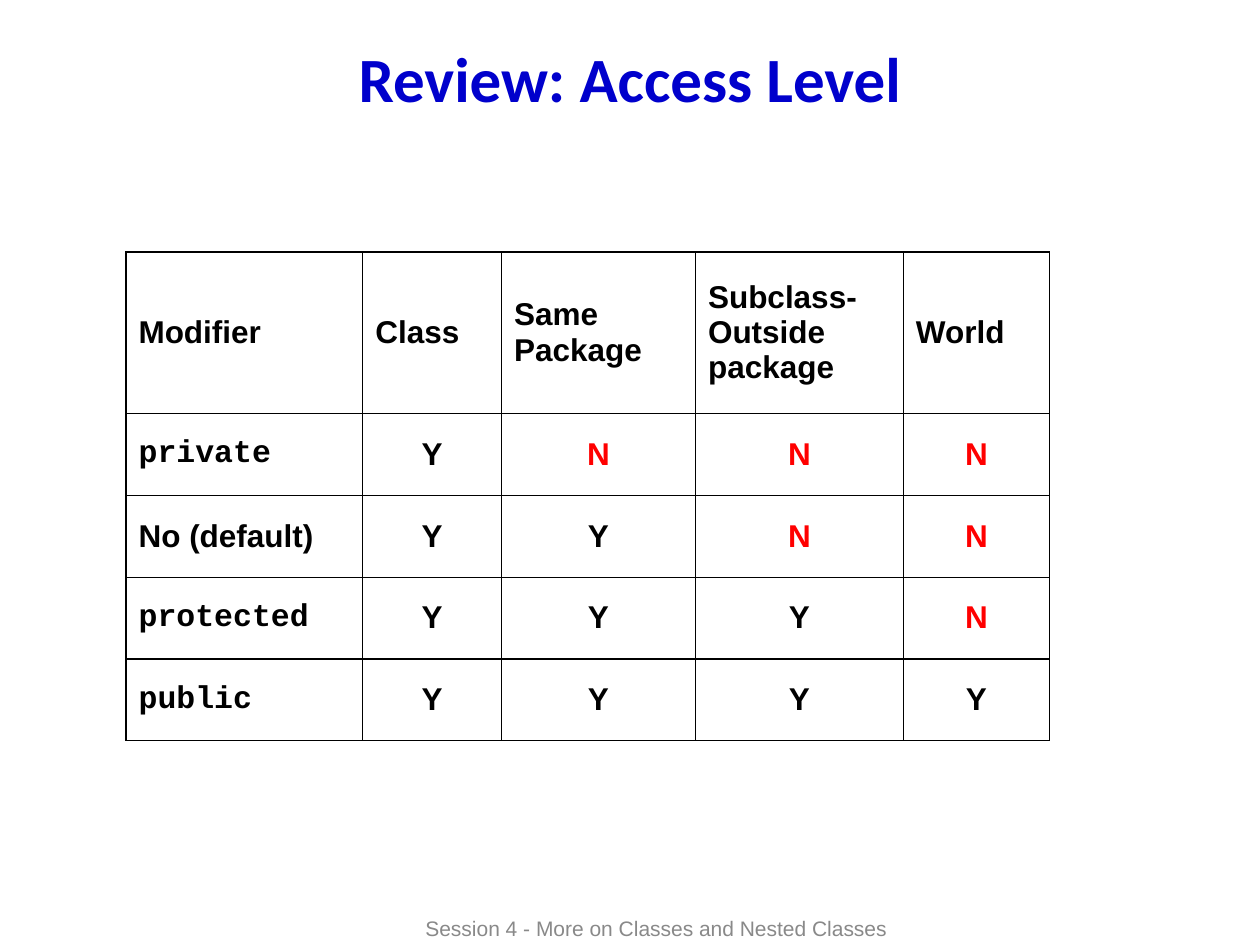
from lxml.etree import SubElement
from pptx import Presentation
from pptx.dml.color import RGBColor
from pptx.enum.text import MSO_ANCHOR, PP_ALIGN
from pptx.oxml.ns import qn
from pptx.util import Inches, Pt

HUES = {"title": "0000CC", "foot": "898989", "ink": "000000",
        "no": "FF0000", "paper": "FFFFFF"}
WIDE, HIGH = 10, 7.5
COLS = [1.88, 1.1, 1.54, 1.65, 1.16]
ROWS = [1.28] + [0.65] * 4
HEADS = ["Modifier", "Class", "Same Package", "Subclass- Outside package", "World"]
LEVELS = [("private", "Courier New", "YNNN"),
          ("No (default)", "Arial", "YYNN"),
          ("protected", "Courier New", "YYYN"),
          ("public", "Courier New", "YYYY")]


def add_run(para, text, size, face, hue, bold=True):
    """Add one styled run to a paragraph."""
    run = para.add_run()
    run.text = text
    font = run.font
    font.size, font.name, font.bold = Pt(size), face, bold
    font.color.rgb = RGBColor.from_string(HUES[hue])


def add_label(slide, box, text, size, face, hue, bold):
    """Place one centred line of text in a box."""
    frame = slide.shapes.add_textbox(*map(Inches, box)).text_frame
    frame.word_wrap = True
    frame.margin_top = frame.margin_bottom = 0
    frame.vertical_anchor = MSO_ANCHOR.MIDDLE
    para = frame.paragraphs[0]
    para.alignment = PP_ALIGN.CENTER
    add_run(para, text, size, face, hue, bold)


def add_edges(cell):
    """Draw a thin line on all four sides of a cell."""
    props = cell._tc.get_or_add_tcPr()
    for spot, side in enumerate(("lnL", "lnR", "lnT", "lnB")):
        line = SubElement(props, qn("a:" + side), w=str(Pt(0.75)))
        fill = SubElement(line, qn("a:solidFill"))
        SubElement(fill, qn("a:srgbClr"), val=HUES["ink"])
        props.insert(spot, line)


def fill_cell(cell, text, face="Arial", hue="ink", align=PP_ALIGN.LEFT):
    """Write and style one table cell."""
    cell.fill.solid()
    cell.fill.fore_color.rgb = RGBColor.from_string(HUES["paper"])
    cell.vertical_anchor = MSO_ANCHOR.MIDDLE
    para = cell.text_frame.paragraphs[0]
    para.alignment = align
    add_run(para, text, 18, face, hue)
    add_edges(cell)


def add_grid(slide, left, top):
    """Build the table of access levels at a given corner."""
    box = map(Inches, (left, top, sum(COLS), sum(ROWS)))
    table = slide.shapes.add_table(len(ROWS), len(COLS), *box).table
    table.horz_banding = False
    for col, width in zip(table.columns, COLS):
        col.width = Inches(width)
    for row, height in zip(table.rows, ROWS):
        row.height = Inches(height)
    for col, head in enumerate(HEADS):
        fill_cell(table.cell(0, col), head)
    for row, (name, face, marks) in enumerate(LEVELS, 1):
        fill_cell(table.cell(row, 0), name, face)
        for col, mark in enumerate(marks, 1):
            hue = "no" if mark == "N" else "ink"
            fill_cell(table.cell(row, col), mark, hue=hue, align=PP_ALIGN.CENTER)


def main():
    """Build and save the slide."""
    deck = Presentation()
    deck.slide_width, deck.slide_height = Inches(WIDE), Inches(HIGH)
    slide = deck.slides.add_slide(deck.slide_layouts[6])
    add_label(slide, (0.05 * WIDE, 0.04 * HIGH, 0.9 * WIDE, 0.62),
              "Review: Access Level", 36, "Calibri", "title", True)
    add_grid(slide, 0.1 * WIDE, 2)
    add_label(slide, (2.17, HIGH - 0.27, 6.08, 0.27),
              "Session 4 - More on Classes and Nested Classes",
              12, "Arial", "foot", False)
    deck.save("out.pptx")


main()
